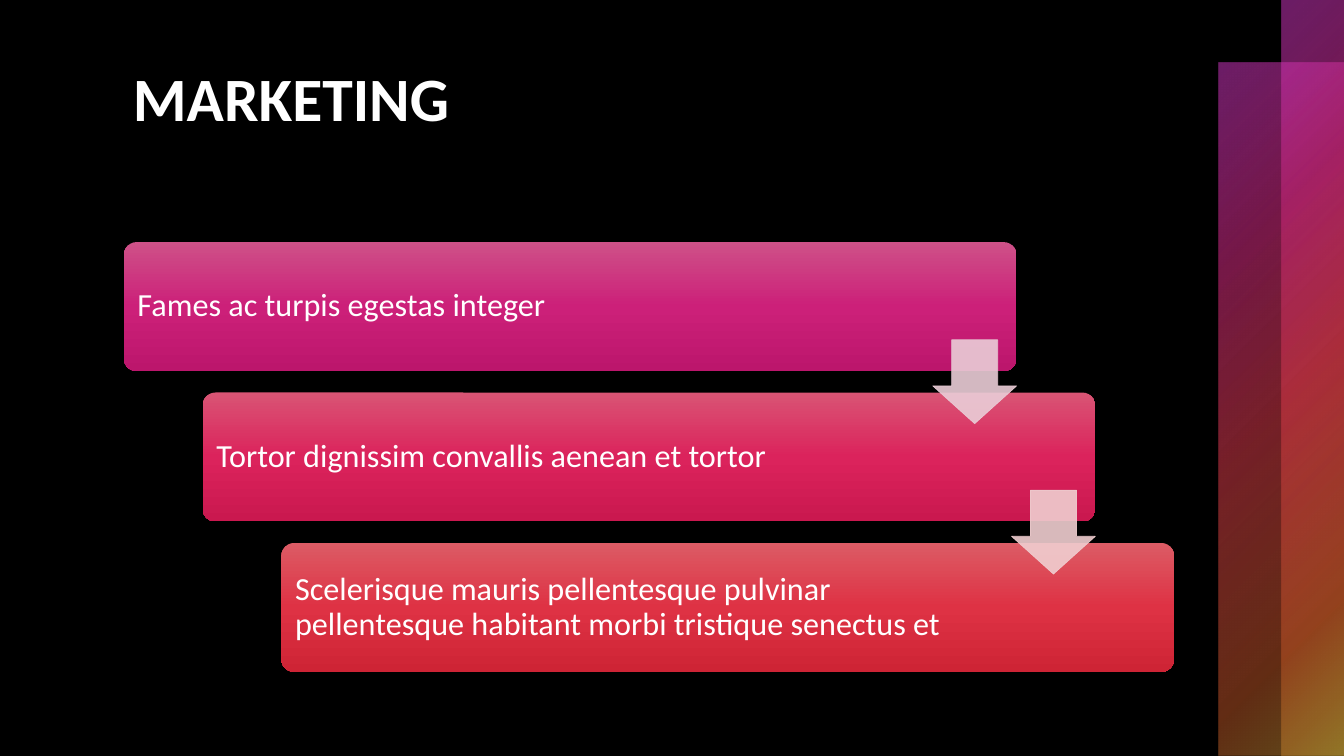
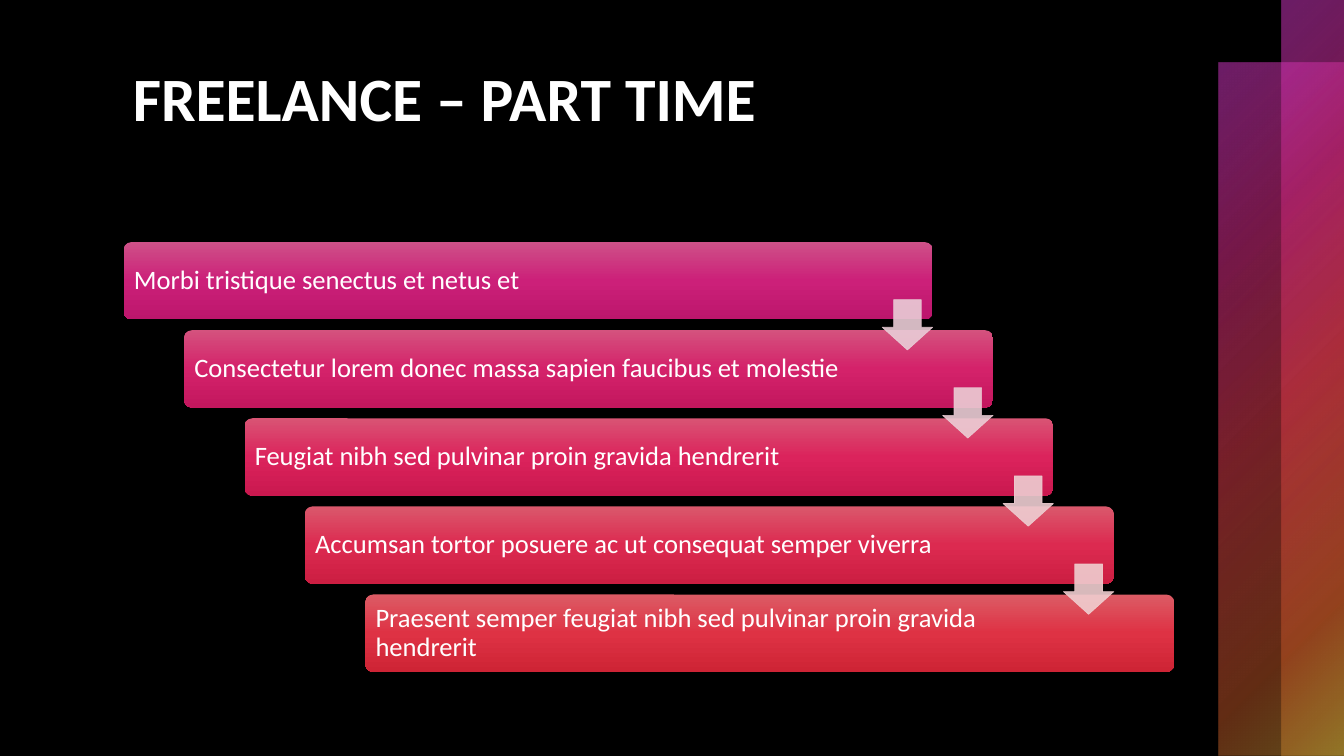
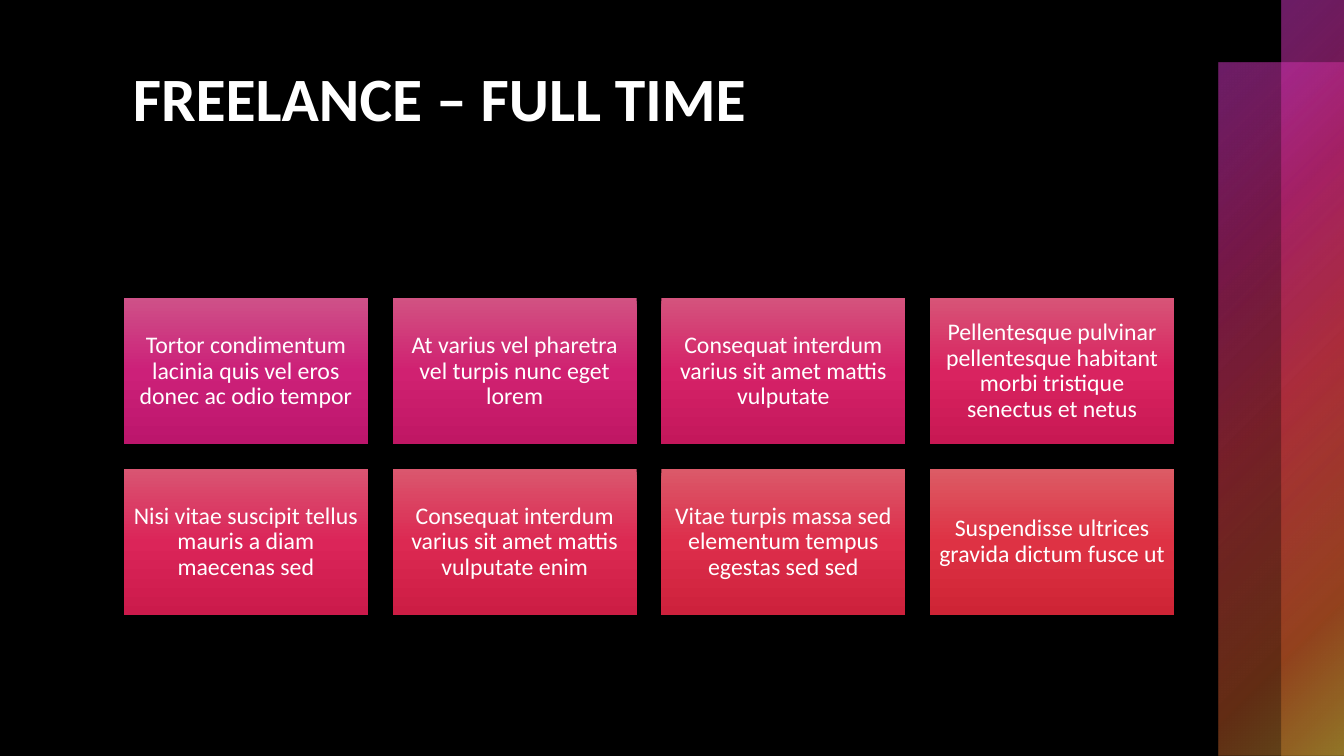
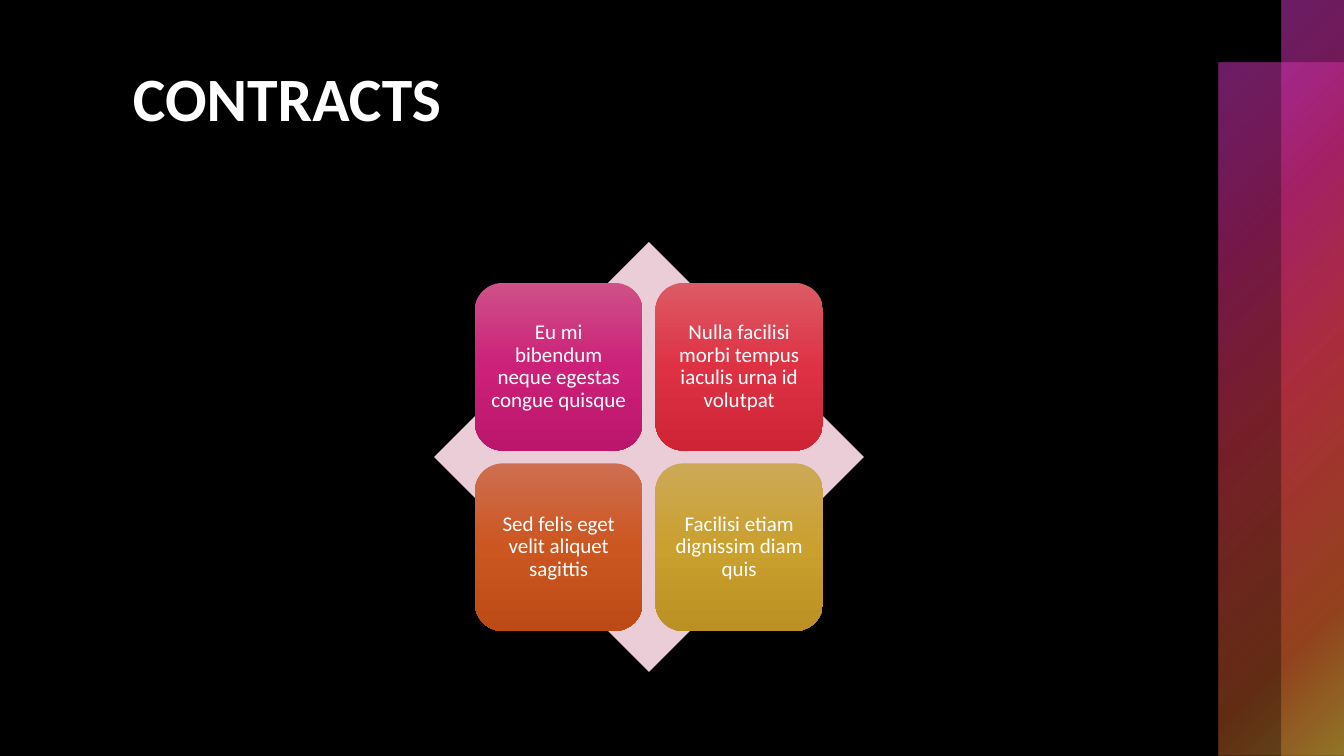
from dataclasses import dataclass

from lxml import etree
from pptx import Presentation
from pptx.dml.color import RGBColor
from pptx.enum.shapes import MSO_SHAPE
from pptx.enum.text import MSO_ANCHOR, PP_ALIGN
from pptx.oxml.ns import qn
from pptx.util import Cm, Pt

RECTANGLE = MSO_SHAPE.RECTANGLE
ROUNDED = MSO_SHAPE.ROUNDED_RECTANGLE
DOWN_ARROW = MSO_SHAPE.DOWN_ARROW
DIAMOND = MSO_SHAPE.DIAMOND
TOP, MIDDLE = MSO_ANCHOR.TOP, MSO_ANCHOR.MIDDLE
LEFT, CENTER = PP_ALIGN.LEFT, PP_ALIGN.CENTER


@dataclass(frozen=True)
class Theme:
    font: str = "Calibri"
    background: str = "000000"
    text: str = "FFFFFF"
    title_size: int = 44
    three_step_size: int = 23
    five_step_size: int = 19
    grid_size: int = 17
    tile_size: int = 15
    pink: tuple = ("CE5188", "CC2079", "BC166C")
    rose: tuple = ("D95474", "DB235C", "CA184F")
    red: tuple = ("DC5B65", "DE3244", "CE2435")
    orange: tuple = ("CE6E51", "CC5620", "BC4A16")
    gold: tuple = ("CDA957", "CAA02E", "BA9122")
    pale_pink: str = "EACDD7"
    pale_red: str = "F0CED0"
    arrow_opacity: int = 90
    band: tuple = (
        (0, "D63ACC", 50),
        (25, "C42879", 60),
        (50, "D63A4A", 55),
        (81, "C45928", 50),
        (99, "C39D35", 50),
    )


THEME = Theme()
SLIDE_W, SLIDE_H = 33.87, 19.05
BAND_W = 3.15
AREA_LEFT, AREA_TOP, AREA_W, AREA_H = 3.12, 6.1, 26.47, 10.83


def apply(target, values):
    for name, value in values.items():
        setattr(target, name, value)


def mix(start, end, share):
    pairs = zip(RGBColor.from_string(start), RGBColor.from_string(end))
    return str(RGBColor(*(round(a + (b - a) * share) for a, b in pairs)))


def tones_at(share):
    if share < 0.5:
        start, end = THEME.pink, THEME.rose
    else:
        start, end, share = THEME.rose, THEME.red, share - 0.5
    return [mix(a, b, share * 2) for a, b in zip(start, end)]


def set_opacity(colour, percent):
    etree.SubElement(colour, qn("a:alpha"), val=str(percent * 1000))


def add_figure(slide, kind, box, adjustments=()):
    figure = slide.shapes.add_shape(kind, *map(Cm, box))
    figure.shadow.inherit = False
    figure.fill.background()
    figure.line.fill.background()
    for index, value in enumerate(adjustments):
        figure.adjustments[index] = value
    return figure


def fill_gradient(figure, stops):
    gradient = etree.Element(qn("a:gradFill"), rotWithShape="1")
    stop_list = etree.SubElement(gradient, qn("a:gsLst"))
    for position, colour, opacity in stops:
        stop = etree.SubElement(stop_list, qn("a:gs"), pos=str(position * 1000))
        set_opacity(etree.SubElement(stop, qn("a:srgbClr"), val=colour), opacity)
    properties = figure._element.spPr
    properties.replace(properties.find(qn("a:noFill")), gradient)
    return gradient


def fill_solid(fill, colour):
    fill.solid()
    fill.fore_color.rgb = RGBColor.from_string(colour)


def write(figure, text, size, inset, right_inset=None, align=LEFT, anchor=MIDDLE,
          bold=False, spacing=0.9):
    frame = figure.text_frame
    apply(frame, {
        "word_wrap": True,
        "vertical_anchor": anchor,
        "margin_left": Cm(inset),
        "margin_top": Cm(inset),
        "margin_bottom": Cm(inset),
        "margin_right": Cm(right_inset or inset),
    })
    paragraph = frame.paragraphs[0]
    apply(paragraph, {"alignment": align, "line_spacing": spacing})
    run = paragraph.add_run()
    run.text = text
    apply(run.font, {"name": THEME.font, "size": Pt(size), "bold": bold})
    run.font.color.rgb = RGBColor.from_string(THEME.text)


def add_card(slide, kind, box, tones, adjustments=()):
    card = add_figure(slide, kind, box, adjustments)
    gradient = fill_gradient(card, zip((0, 50, 100), tones, (100, 100, 100)))
    etree.SubElement(gradient, qn("a:lin"), ang="5400000", scaled="0")
    return card


def add_band(slide, width, top):
    band = add_figure(slide, RECTANGLE, (SLIDE_W - width, top, width, SLIDE_H - top))
    gradient = fill_gradient(band, THEME.band)
    focus = etree.SubElement(gradient, qn("a:path"), path="circle")
    etree.SubElement(focus, qn("a:fillToRect"), r="100000", b="100000")


def add_arrow(slide, box, colour):
    arrow = add_figure(slide, DOWN_ARROW, box, (0.55, 0.45))
    fill_solid(arrow.fill, colour)
    fill_solid(arrow.line.fill, colour)
    arrow.line.width = Pt(0.5)
    for node in arrow._element.spPr.iter(qn("a:srgbClr")):
        set_opacity(node, THEME.arrow_opacity)


def add_titled_slide(deck, title):
    slide = deck.slides.add_slide(deck.slide_layouts[6])
    add_band(slide, BAND_W, BAND_W / 2)
    add_band(slide, BAND_W / 2, 0)
    heading = slide.shapes.add_textbox(Cm(3.1), Cm(1.27), Cm(26.34), Cm(4.32))
    write(heading, title, THEME.title_size, 0.25, anchor=TOP, bold=True, spacing=1.0)
    return slide


def add_staircase(slide, steps, width_share, height_share, size, inset, right_inset):
    width, height = AREA_W * width_share, AREA_H * height_share
    last = len(steps) - 1
    shift, drop = (AREA_W - width) / last, (AREA_H - height) / last
    for index, text in enumerate(steps):
        box = (AREA_LEFT + index * shift, AREA_TOP + index * drop, width, height)
        step = add_card(slide, ROUNDED, box, tones_at(index / last), (0.1,))
        write(step, text, size, inset, right_inset)
    side = height * 0.65
    for index in range(last):
        right = AREA_LEFT + index * shift + width
        middle = AREA_TOP + index * drop + (height + drop) / 2
        colour = mix(THEME.pale_pink, THEME.pale_red, index / (last - 1))
        add_arrow(slide, (right - side, middle - side / 2, side, side), colour)


def add_card_grid(slide, texts, columns=4, top=7.52, height=3.68, gap=0.62):
    width = (AREA_W - (columns - 1) * gap) / columns
    for index, text in enumerate(texts):
        row, column = divmod(index, columns)
        box = (AREA_LEFT + column * (width + gap), top + row * (height + gap),
               width, height)
        card = add_card(slide, RECTANGLE, box, tones_at(index / (len(texts) - 1)))
        write(card, text, THEME.grid_size, 0.17, align=CENTER)


def add_matrix(slide, tiles):
    left = AREA_LEFT + (AREA_W - AREA_H) / 2
    diamond = add_figure(slide, DIAMOND, (left, AREA_TOP, AREA_H, AREA_H))
    fill_solid(diamond.fill, THEME.pale_pink)
    side, margin = AREA_H * 0.39, AREA_H * 0.095
    pitch = AREA_H - 2 * margin - side
    for index, (text, tones) in enumerate(tiles):
        row, column = divmod(index, 2)
        box = (left + margin + column * pitch, AREA_TOP + margin + row * pitch,
               side, side)
        write(add_card(slide, ROUNDED, box, tones), text, THEME.tile_size, 0.15,
              align=CENTER)


def main():
    deck = Presentation()
    apply(deck, {"slide_width": Cm(SLIDE_W), "slide_height": Cm(SLIDE_H)})
    fill_solid(deck.slide_master.background.fill, THEME.background)

    add_staircase(add_titled_slide(deck, "MARKETING"), (
        "Fames ac turpis egestas integer",
        "Tortor dignissim convallis aenean et tortor",
        "Scelerisque mauris pellentesque pulvinar pellentesque habitant morbi "
        "tristique senectus et",
    ), 0.85, 0.3, THEME.three_step_size, 0.25, 4.4)

    add_staircase(add_titled_slide(deck, "FREELANCE – PART TIME"), (
        "Morbi tristique senectus et netus et",
        "Consectetur lorem donec massa sapien faucibus et molestie",
        "Feugiat nibh sed pulvinar proin gravida hendrerit",
        "Accumsan tortor posuere ac ut consequat semper viverra",
        "Praesent semper feugiat nibh sed pulvinar proin gravida hendrerit",
    ), 0.77, 0.18, THEME.five_step_size, 0.2, 3)

    add_card_grid(add_titled_slide(deck, "FREELANCE – FULL TIME"), (
        "Tortor condimentum lacinia quis vel eros donec ac odio tempor",
        "At varius vel pharetra vel turpis nunc eget lorem",
        "Consequat interdum varius sit amet mattis vulputate",
        "Pellentesque pulvinar pellentesque habitant morbi tristique senectus et netus",
        "Nisi vitae suscipit tellus mauris a diam maecenas sed",
        "Consequat interdum varius sit amet mattis vulputate enim",
        "Vitae turpis massa sed elementum tempus egestas sed sed",
        "Suspendisse ultrices gravida dictum fusce ut",
    ))

    add_matrix(add_titled_slide(deck, "CONTRACTS"), (
        ("Eu mi bibendum neque egestas congue quisque", THEME.pink),
        ("Nulla facilisi morbi tempus iaculis urna id volutpat", THEME.red),
        ("Sed felis eget velit aliquet sagittis", THEME.orange),
        ("Facilisi etiam dignissim diam quis", THEME.gold),
    ))

    deck.save("out.pptx")


if __name__ == "__main__":
    main()
